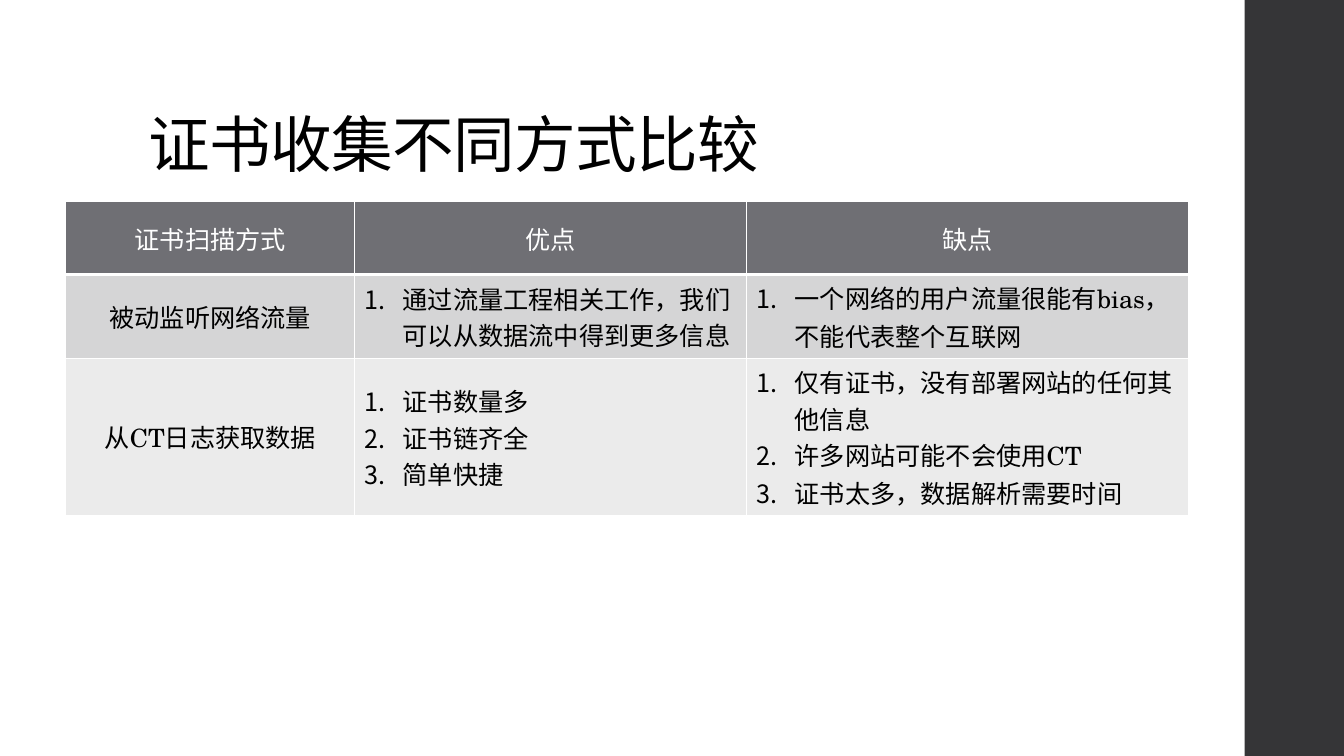
"""Build a slide comparing two ways of collecting certificates."""
from lxml.etree import SubElement
from pptx import Presentation
from pptx.dml.color import RGBColor
from pptx.enum.shapes import MSO_SHAPE
from pptx.enum.text import MSO_ANCHOR, MSO_AUTO_SIZE, PP_ALIGN
from pptx.oxml.ns import qn
from pptx.util import Pt

COLORS = {
    "band": "353537",
    "header": "6F6F74",
    "passive": "D5D5D6",
    "logs": "EBEBEB",
    "white": "FFFFFF",
    "black": "000000",
}
FONT = "TeX Gyre Schola"


def format_run(run, size, color):
    run.font.name = FONT
    run.font.size = Pt(size)
    run.font.bold = False
    run.font.color.rgb = RGBColor.from_string(COLORS[color])


def add_border(cell, side, width):
    line = SubElement(cell._tc.get_or_add_tcPr(), qn(f"a:ln{side}"), w=str(Pt(width)))
    fill = SubElement(line, qn("a:solidFill"))
    SubElement(fill, qn("a:srgbClr"), val=COLORS["white"])


presentation = Presentation()
presentation.slide_width = Pt(960)
presentation.slide_height = Pt(540)
slide = presentation.slides.add_slide(presentation.slide_layouts[5])

band = slide.shapes.add_shape(MSO_SHAPE.RECTANGLE, Pt(889), Pt(0), Pt(71), Pt(540))
band.shadow.inherit = False
band.fill.solid()
band.fill.fore_color.rgb = RGBColor.from_string(COLORS["band"])
band.line.fill.background()

title = slide.shapes.title
title.left, title.top, title.width, title.height = Pt(99), Pt(29), Pt(763), Pt(104)
title.text_frame.text = "证书收集不同方式比较"
title.text_frame.auto_size = MSO_AUTO_SIZE.NONE
title.text_frame.vertical_anchor = MSO_ANCHOR.BOTTOM
heading = title.text_frame.paragraphs[0]
heading.alignment = PP_ALIGN.LEFT
heading.line_spacing = 0.9
format_run(heading.runs[0], 44, "black")
heading.runs[0]._r.get_or_add_rPr().set("spc", "-50")

COMPARISON = [
    ("header", 52, ["证书扫描方式", "优点", "缺点"]),
    ("passive", 52, [
        "被动监听网络流量",
        "通过流量工程相关工作，我们可以从数据流中得到更多信息",
        "一个网络的用户流量很能有bias，不能代表整个互联网",
    ]),
    ("logs", 83.5, [
        "从CT日志获取数据",
        "证书数量多\n证书链齐全\n简单快捷",
        "仅有证书，没有部署网站的任何其他信息\n许多网站可能不会使用CT\n证书太多，数据解析需要时间",
    ]),
]
COLUMN_WIDTHS = [206.5, 280, 315.5]

comparison = slide.shapes.add_table(
    len(COMPARISON), len(COLUMN_WIDTHS), Pt(47), Pt(144), Pt(802), Pt(187.5)
).table
for column, width in zip(comparison.columns, COLUMN_WIDTHS):
    column.width = Pt(width)

for row, (method, height, texts) in zip(comparison.rows, COMPARISON):
    row.height = Pt(height)
    is_header = method == "header"
    for position, (cell, text) in enumerate(zip(row.cells, texts)):
        cell.vertical_anchor = MSO_ANCHOR.MIDDLE
        for side in "LRTB":
            add_border(cell, side, 3 if is_header and side == "B" else 1)
        cell.fill.solid()
        cell.fill.fore_color.rgb = RGBColor.from_string(COLORS[method])
        cell.text_frame.text = text
        for paragraph in cell.text_frame.paragraphs:
            format_run(paragraph.runs[0], 18, "white" if is_header else "black")
            if is_header or position == 0:
                paragraph.alignment = PP_ALIGN.CENTER
            else:
                properties = paragraph._p.get_or_add_pPr()
                properties.set("marL", str(Pt(27)))
                properties.set("indent", str(-Pt(27)))
                SubElement(properties, qn("a:buAutoNum"), type="arabicPeriod")

presentation.save("out.pptx")
